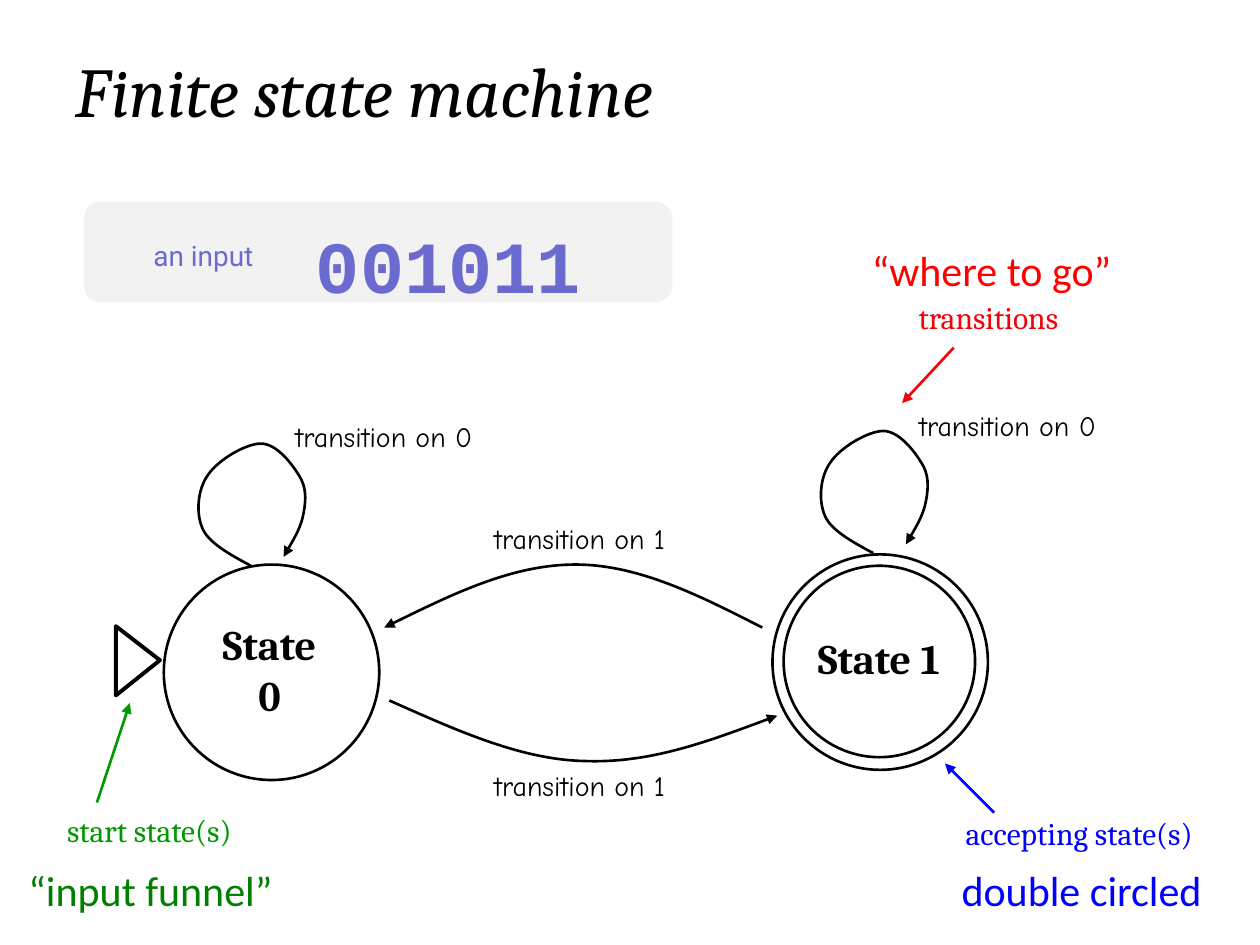
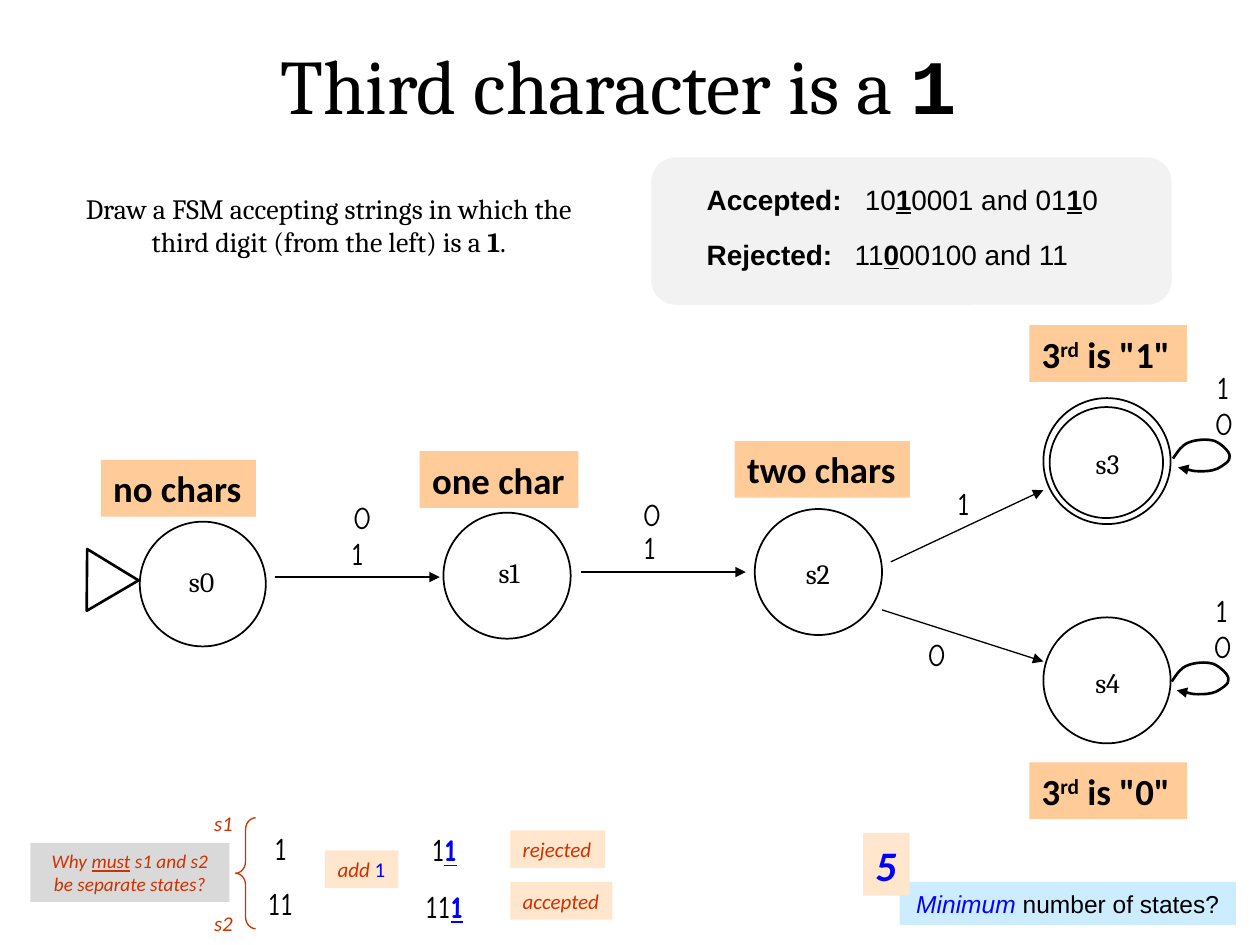
from typing import NamedTuple

import pptx
import pptx.dml.color
import pptx.enum.dml
import pptx.enum.shapes
import pptx.enum.text
import pptx.oxml
import pptx.oxml.ns
import pptx.util

Pt = pptx.util.Pt
qn = pptx.oxml.ns.qn
SHAPE = pptx.enum.shapes.MSO_SHAPE
ALIGN = {"l": pptx.enum.text.PP_ALIGN.LEFT, "c": pptx.enum.text.PP_ALIGN.CENTER,
         "r": pptx.enum.text.PP_ALIGN.RIGHT}

COLORS = {"black": "000000", "panel": "F2F2F2", "violet": "6B6BCF", "start": "009900",
          "funnel": "008000", "blue": "0000FF", "minimum": "0900FF", "transition": "F3020A",
          "red": "FF0000", "label": "FFCC99", "answer": "FFE6CD", "rust": "CC3300",
          "question": "D9D9D9", "sky": "CCECFF"}
SERIF, SANS, COMIC, MONO = "Cambria", "Calibri", "Comic Neue", "Courier New"


class Box(NamedTuple):
    x: float
    y: float
    w: float
    h: float


class Label(NamedTuple):
    """A text with its place."""
    text: str
    box: Box


class Arrow(NamedTuple):
    start: tuple[float, float]
    end: tuple[float, float]
    color: str = "black"


class State(NamedTuple):
    """A circled state with its name and its meaning."""
    name: str
    circle: Box
    name_box: Box
    meaning: list
    meaning_box: Box


def rgb(name: str):
    return pptx.dml.color.RGBColor.from_string(COLORS[name])


def add_shape(sl, kind, box: Box, fill: str = "", line: str = "", width: float = 1):
    """Draw a preset shape; without fill or line it has none."""
    sp = sl.shapes.add_shape(kind, *map(Pt, box))
    style(sp, fill, line, width)
    return sp


def style(sp, fill: str, line: str, width: float) -> None:
    sp.shadow.inherit = False
    if fill:
        sp.fill.solid()
        sp.fill.fore_color.rgb = rgb(fill)
    else:
        sp.fill.background()
    if line:
        sp.line.color.rgb = rgb(line)
        sp.line.width = Pt(width)
    else:
        sp.line.fill.background()


def add_arrowhead(sp) -> None:
    ln = sp.line._get_or_add_ln()
    pptx.oxml.ns  # namespace map used below
    ln.append(ln.makeelement(qn("a:tailEnd"), {"type": "triangle"}))


def add_arrow(sl, arrow: Arrow, width: float) -> None:
    cx = sl.shapes.add_connector(pptx.enum.shapes.MSO_CONNECTOR.STRAIGHT,
                                 *map(Pt, arrow.start + arrow.end))
    cx.line.color.rgb = rgb(arrow.color)
    cx.line.width = Pt(width)
    add_arrowhead(cx)
    sp_pr = cx._element.spPr
    sp_pr.append(sp_pr.makeelement(qn("a:effectLst"), {}))


def add_outline(sl, points: list, close: bool, width: float):
    pts = [(Pt(x), Pt(y)) for x, y in points]
    fb = sl.shapes.build_freeform(*pts[0])
    fb.add_line_segments(pts[1:], close=close)
    sp = fb.convert_to_shape()
    style(sp, "", "black", width)
    return sp


def add_curve(sl, points: list, origin: tuple[float, float] = (0, 0)) -> None:
    """Draw a Bezier arrow: a start, then two controls and an end per segment."""
    sp = add_outline(sl, [(x + origin[0], y + origin[1]) for x, y in points], False, 1.5)
    segments = list(sp._element.iter(qn("a:lnTo")))
    for i in range(0, len(segments), 3):
        bezier = segments[i].makeelement(qn("a:cubicBezTo"), {})
        segments[i].addprevious(bezier)
        for seg in segments[i:i + 3]:
            bezier.append(seg[0])
            seg.getparent().remove(seg)
    add_arrowhead(sp)


def add_text(sl, box: Box, *paras, size: float, font: str = SANS, color: str = "black",
             bold: bool = False, italic: bool = False, align: str = "c", wrap: bool = False,
             middle: bool = False, fill: str = "", spacing: float = 0, gap: float = 0,
             tabs: tuple = ()):
    """Write paragraphs; each is a string or a list of strings and (string, format) runs."""
    sp = add_shape(sl, SHAPE.RECTANGLE, box, fill) if fill else sl.shapes.add_textbox(*map(Pt, box))
    tf = sp.text_frame
    tf.word_wrap = wrap
    tf.auto_size = pptx.enum.text.MSO_AUTO_SIZE.SHAPE_TO_FIT_TEXT
    anchors = pptx.enum.text.MSO_ANCHOR
    tf.vertical_anchor = anchors.MIDDLE if middle else anchors.TOP
    base = {"font": font, "color": color, "bold": bold, "italic": italic}
    for i, para in enumerate(paras):
        p = tf.paragraphs[0] if i == 0 else tf.add_paragraph()
        p.alignment = ALIGN[align]
        if spacing:
            p.line_spacing = spacing
        if i:
            p.space_before = Pt(gap)
        if tabs:
            p_pr = p._p.get_or_add_pPr()
            tab_list = p_pr.makeelement(qn("a:tabLst"), {})
            tab_list.append(p_pr.makeelement(qn("a:tab"), {"pos": str(Pt(tabs[i])), "algn": "l"}))
            p_pr.append(tab_list)
        for run in [para] if isinstance(para, str) else para:
            text, changes = (run, {}) if isinstance(run, str) else run
            look = base | changes
            r = p.add_run()
            r.text = text
            r.font.size, r.font.name = Pt(size), look["font"]
            r.font.bold, r.font.italic = look["bold"], look["italic"]
            r.font.underline = look.get("underline", False)
            r.font.color.rgb = rgb(look["color"])
            if "baseline" in look:
                r._r.get_or_add_rPr().set("baseline", str(look["baseline"] * 1000))
    return sp


def add_title(sl, box: Box, para, size: float, **look) -> None:
    add_text(sl, box, para, size=size, font=SERIF, wrap=True, **look)


def add_panel(sl, box: Box) -> None:
    add_shape(sl, SHAPE.ROUNDED_RECTANGLE, box, "panel")


def build_machine(prs) -> None:
    sl = prs.slides.add_slide(prs.slide_layouts[6])

    # Title and input
    add_title(sl, Box(36, 23.8, 612.7, 55.4), "Finite state machine", 40, italic=True, align="l")
    add_panel(sl, Box(48, 115.2, 336.2, 57.6))
    add_text(sl, Box(66.2, 132.5, 85.7, 26.6), "an input", size=16, font="Roboto",
             color="violet", align="r", wrap=True, middle=True, fill="panel")
    add_text(sl, Box(173.5, 122, 264.2, 57.6), "001011", size=42, font=MONO,
             color="violet", bold=True, align="l", wrap=True)

    # States, the second one double circled
    for circle in (Box(93.6, 322.6, 123.1, 123.1), Box(441.4, 316.8, 123.1, 123.1),
                   Box(447.8, 323.3, 109.4, 109.4)):
        add_shape(sl, SHAPE.OVAL, circle, line="black", width=1.5)
    for label, wrap in ((Label("State 0", Box(115, 364.3, 78, 36)), True),
                        (Label("State 1", Box(460.1, 357.8, 84.2, 36)), False)):
        add_text(sl, label.box, label.text, size=24, font=SERIF, bold=True, wrap=wrap, middle=True)
    add_outline(sl, [(66.2, 357.8), (66.2, 397.4), (91.4, 377.3)], True, 2.25)

    # Transitions
    add_curve(sl, [(222.5, 400.3), (259.9, 416.9), (297.4, 434.2), (334.1, 434.9),
                   (371.5, 436.3), (407.5, 422.6), (444.2, 409)])
    add_curve(sl, [(435.6, 358.6), (400.3, 340.6), (365, 322.6), (329, 322.6),
                   (293, 322.6), (256.3, 340.6), (219.6, 358.6)])
    loop = [(0, 0), (-12.2, -6.5), (-23.8, -13), (-27.4, -20.9), (-31.7, -30.2),
            (-30.2, -43.9), (-24.5, -51.8), (-18.7, -60.5), (-2.9, -69.8), (5.8, -69.8),
            (14.4, -69.8), (23, -59), (27.4, -51.8), (31.7, -45.4), (31.7, -38.2),
            (30.2, -30.2), (28.8, -22.3), (23.8, -13.7), (18.7, -5)]
    for origin in ((143.3, 323.3), (499, 316.1)):
        add_curve(sl, loop, origin)
    for label in (Label("transition on 0", Box(157, 236.2, 124.6, 26.6)),
                  Label("transition on 0", Box(513.4, 229.7, 124.6, 26.6)),
                  Label("transition on 1", Box(270, 435.6, 122.4, 26.6)),
                  Label("transition on 1", Box(270, 294.5, 122.4, 26.6))):
        add_text(sl, label.box, label.text, size=16, font=COMIC, middle=True)

    # Coloured notes: a term, a plain explanation, an arrow
    for term, term_color, plain, plain_color, arrow in (
            (Label("start state(s)", Box(28.1, 460.1, 114.5, 28.8)), "start",
             Label("“input funnel”", Box(8.6, 490.3, 154.8, 36)), "funnel",
             Arrow((55.4, 458.6), (74.2, 401.8), "start")),
            (Label("accepting state(s)", Box(540.7, 461.5, 151.9, 28.8)), "blue",
             Label("double circled", Box(541.4, 490.3, 153.4, 36)), "blue",
             Arrow((568.1, 464.4), (540, 436.3), "blue")),
            (Label("transitions", Box(515.5, 167, 98.6, 28.8)), "transition",
             Label("“where to go”", Box(488.9, 136.1, 155.5, 36)), "red",
             Arrow((545, 198.7), (515.5, 230.4), "transition"))):
        add_text(sl, term.box, term.text, size=18, font=SERIF, color=term_color, middle=True)
        add_text(sl, plain.box, plain.text, size=24, color=plain_color, middle=True)
        add_arrow(sl, arrow, 1.5)


def build_third_character(prs) -> None:
    sl = prs.slides.add_slide(prs.slide_layouts[6])
    marked = {"bold": True, "underline": True}
    strong = {"bold": True}

    # Title, task and examples
    add_title(sl, Box(37.4, 18, 632.2, 59.8),
              ["Third character is a ", ("1", {"font": MONO, "bold": True})], 44)
    add_text(sl, Box(26.6, 105.8, 322.6, 46.1),
             ["Draw a FSM accepting strings in which the third digit (from the left) is a ",
              ("1", strong), "."], size=16, font=SERIF, wrap=True)
    add_panel(sl, Box(372.2, 90, 297.4, 84.2))
    add_text(sl, Box(396.7, 107.3, 255.6, 51.8),
             [("Accepted:", strong), "\t10", ("1", marked), "0001 and 01", ("1", marked), "0"],
             [("Rejected:", strong), "\t11", ("0", marked), "00100 and 11"],
             size=16, font="Arial", align="l", wrap=True, spacing=0.6, gap=20, tabs=(90.4, 84.6))

    # States
    def third_is(digit: str) -> list:
        return ["3", ("rd", {"baseline": 30}), f' is "{digit}"']

    for state in (
            State("s0", Box(79.9, 298.1, 72, 71.3), Box(100.1, 319, 30.2, 26.6),
                  ["no chars"], Box(57.6, 262.8, 88.6, 32.4)),
            State("s1", Box(253.4, 293, 72.7, 72), Box(275.8, 313.9, 30.2, 26.6),
                  ["one char"], Box(239.8, 257.8, 90.7, 32.4)),
            State("s2", Box(431.3, 290.9, 72.7, 72), Box(452.2, 314.6, 30.2, 26.6),
                  ["two chars"], Box(419.8, 252, 100.1, 32.4)),
            State("s3", Box(596.2, 227.5, 72.7, 72), Box(617.8, 251.3, 30.2, 26.6),
                  third_is("1"), Box(588.2, 185.8, 90, 32.4)),
            State("s4", Box(596.2, 352.8, 72.7, 72), Box(617.8, 376.6, 30.2, 26.6),
                  third_is("0"), Box(588.2, 435.6, 90, 32.4))):
        add_shape(sl, SHAPE.OVAL, state.circle, line="black")
        add_text(sl, state.name_box, state.name, size=16, font=SERIF, middle=True)
        add_text(sl, state.meaning_box, state.meaning, size=21, bold=True, align="l", fill="label")
    add_shape(sl, SHAPE.OVAL, Box(599.8, 232.6, 64.8, 63.4), line="black")
    start = add_shape(sl, SHAPE.ISOSCELES_TRIANGLE, Box(46.8, 316.8, 35.3, 29.5),
                      line="black", width=1.5)
    start.rotation = 90.5

    # Transitions
    for arrow in (Arrow((157, 329.8), (251.3, 329.8)), Arrow((331.9, 326.9), (426.2, 326.9)),
                  Arrow((504, 348.5), (596.2, 378)), Arrow((509, 321.1), (596.2, 280.1))):
        add_arrow(sl, arrow, 0.75)
    loop = [(0, 0), (2.9, -4.3), (5, -7.9), (9.4, -9.4), (13, -10.8), (19.4, -11.5),
            (23.8, -10.1), (27.4, -8.6), (32.4, -4.3), (32.4, -1.4), (33.1, 1.4),
            (28.1, 4.3), (25.2, 5.8), (21.6, 7.2), (18.7, 7.2), (15.1, 7.2),
            (11.5, 7.2), (7.2, 5.8), (2.9, 5)]
    for origin in ((670.3, 262.1), (669.6, 389.5)):
        add_curve(sl, loop, origin)

    # Digits on transitions and in the question below
    last = ("1", marked | {"color": "blue"})
    for digits, x, y in (
            (["0"], 194.4, 280.8), (["1"], 193.7, 301.7), (["0"], 360, 279.4),
            (["1"], 360.7, 298.1), (["1"], 540, 272.9), (["0"], 522.7, 359.3),
            (["1"], 688.3, 206.6), (["0"], 686.9, 227.5), (["1"], 687.6, 334.1),
            (["0"], 686.2, 355), (["1"], 149.8, 470.2), (["11"], 146.2, 501.8),
            (["1", last], 239.8, 470.9), (["11", last], 236.2, 503.3)):
        add_text(sl, Box(x, y, 50 if last in digits else 36, 28.8), digits,
                 size=18, font=COMIC, align="l", wrap=True)

    # Why s1 and s2 differ
    add_text(sl, Box(17.3, 481.7, 113.8, 33.8),
             ["Why ", ("must", {"underline": True}), " s1 and s2 be separate states?"],
             size=11, color="rust", italic=True, wrap=True, middle=True, fill="question")
    brace = add_shape(sl, SHAPE.LEFT_BRACE, Box(134.6, 467.3, 11.5, 63.4), line="rust", width=0.75)
    brace.adjustments[0] = 0.589
    for para, box, fill in (
            ("s1", Box(115.2, 459.4, 25.2, 21.6), ""),
            ("s2", Box(115.2, 517, 25.2, 21.6), ""),
            (["add ", ("1", {"color": "blue", "italic": False})],
             Box(185.8, 486, 41.8, 21.6), "answer"),
            ("rejected", Box(291.6, 474.5, 54, 21.6), "answer"),
            ("accepted", Box(291.6, 504, 58.3, 21.6), "answer")):
        add_text(sl, box, para, size=12, color="rust", italic=True, align="l", fill=fill)

    # Smallest number of states
    add_text(sl, Box(514.1, 504, 192.2, 24.5),
             [("Minimum", {"color": "minimum", "italic": True}), " number of states?"],
             size=14, font="Arial", middle=True, fill="sky")
    add_text(sl, Box(493.2, 475.9, 26.6, 36), "5", size=24, color="blue", bold=True,
             italic=True, align="l", fill="answer")


def main() -> None:
    prs = pptx.Presentation()
    prs.slide_width, prs.slide_height = Pt(720), Pt(540)
    build_machine(prs)
    build_third_character(prs)
    prs.save("out.pptx")


if __name__ == "__main__":
    main()
